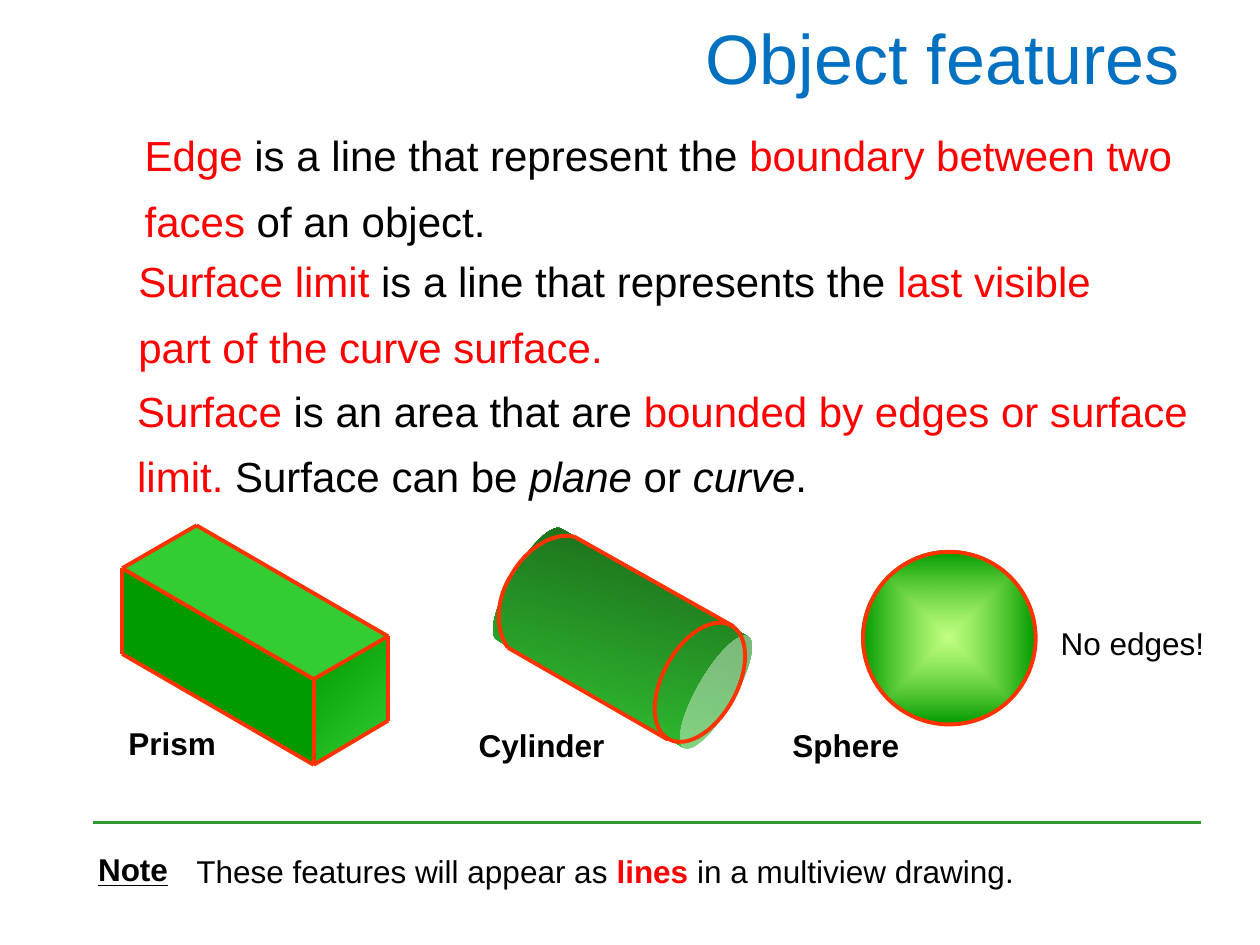
import pptx
import pptx.util
import pptx.dml.color
import pptx.enum.shapes
import pptx.enum.text
import pptx.oxml
import pptx.oxml.ns
from lxml import etree

Inches = pptx.util.Inches
SHAPES = pptx.enum.shapes.MSO_SHAPE
COLORS = {
    "title": "0070C0", "key": "FF0000", "text": "000000", "edge": "FF3300",
    "rule": "339933", "dark": "009900", "light": "33CC33",
    "shade": "185E18", "glow": "99FF33",
}


def rgb(name):
    """Return the named colour."""
    return pptx.dml.color.RGBColor.from_string(COLORS[name])


def add_text(page, box, spans, size=18, spacing=None, align="LEFT", wrap=False):
    """Add one paragraph made of (text, colour, styles) spans, styles from b, i, u."""
    left, top, width, height = map(Inches, box)
    frame = page.shapes.add_textbox(left, top, width, height).text_frame
    frame.word_wrap = wrap
    frame.auto_size = pptx.enum.text.MSO_AUTO_SIZE.SHAPE_TO_FIT_TEXT
    para = frame.paragraphs[0]
    para.alignment = getattr(pptx.enum.text.PP_ALIGN, align)
    if spacing:
        para.line_spacing = spacing
    for text, color, styles in spans:
        span = para.add_run()
        span.text = text
        span.font.name = "Arial"
        span.font.size = pptx.util.Pt(size)
        span.font.color.rgb = rgb(color)
        span.font.bold = "b" in styles
        span.font.italic = "i" in styles
        span.font.underline = "u" in styles


def add_line(page, start, end, color="edge", width=2.25):
    """Add a straight line between two points."""
    line = page.shapes.add_connector(
        pptx.enum.shapes.MSO_CONNECTOR.STRAIGHT, *map(Inches, (*start, *end)))
    line.line.color.rgb = rgb(color)
    line.line.width = pptx.util.Pt(width)
    etree.SubElement(line._element.spPr, pptx.oxml.ns.qn("a:effectLst"))


def style(shape, fill=None, outline=None):
    """Give a shape a solid fill or none, an outline or none, and no shadow."""
    shape.shadow.inherit = False
    if fill:
        shape.fill.solid()
        shape.fill.fore_color.rgb = rgb(fill)
    else:
        shape.fill.background()
    if outline:
        shape.line.color.rgb = rgb(outline)
        shape.line.width = pptx.util.Pt(2.25)
    else:
        shape.line.fill.background()


def add_preset(page, kind, box, rotation=0, outline=None):
    """Add an unfilled preset shape."""
    shape = page.shapes.add_shape(kind, *map(Inches, box))
    shape.rotation = rotation
    style(shape, outline=outline)
    return shape


def add_outline(page, points, closed, fill=None, outline=None):
    """Add a freeform through points in inches."""
    places = [(Inches(x), Inches(y)) for x, y in points]
    builder = page.shapes.build_freeform(*places[0])
    builder.add_line_segments(places[1:], close=closed)
    shape = builder.convert_to_shape()
    style(shape, fill, outline)
    return shape


def set_gradient(shape, first, last, angle=None, alpha=100, turn=1):
    """Fill with a linear gradient, or from the centre when no angle is given."""
    if angle is None:
        course = ('<a:path path="rect"><a:fillToRect l="50000" t="50000" '
                  'r="50000" b="50000"/></a:path>')
    else:
        course = f'<a:lin ang="{angle * 60000}" scaled="1"/>'
    fill = pptx.oxml.parse_xml(
        f'<a:gradFill {pptx.oxml.ns.nsdecls("a")} rotWithShape="{turn}"><a:gsLst>'
        f'<a:gs pos="0"><a:srgbClr val="{COLORS[first]}">'
        f'<a:alpha val="{alpha * 1000}"/></a:srgbClr></a:gs>'
        f'<a:gs pos="100000"><a:srgbClr val="{COLORS[last]}"/></a:gs>'
        f'</a:gsLst>{course}</a:gradFill>')
    properties = shape._element.spPr
    properties.replace(properties.find(pptx.oxml.ns.qn("a:noFill")), fill)


def bezier(start, first, second, end, steps=12):
    """Return points along a cubic curve, leaving out its start."""
    points = []
    for step in range(1, steps + 1):
        t = step / steps
        weights = ((1 - t) ** 3, 3 * t * (1 - t) ** 2, 3 * t * t * (1 - t), t ** 3)
        points.append(tuple(sum(w * c for w, c in zip(weights, axis))
                            for axis in zip(start, first, second, end)))
    return points


def shift(left, top, points):
    """Move points by the corner of a region."""
    return [(left + x, top + y) for x, y in points]


def add_definitions(page, left, top):
    """Place the three definitions."""
    definitions = [
        (0.06, 0, 8.55, [
            ("Edge", "key", ""), (" is a line that represent the ", "text", ""),
            ("boundary between two faces", "key", ""), (" of an object.", "text", "")]),
        (0.01, 1, 8.28, [
            ("Surface limit ", "key", ""), ("is a line that represents the ", "text", ""),
            ("last visible part of the curve surface.", "key", "")]),
        (0, 2.03, 8.75, [
            ("Surface", "key", ""), (" is an area that are ", "text", ""),
            ("bounded by edges or surface limit. ", "key", ""),
            ("Surface can be ", "text", ""), ("plane", "text", "i"),
            (" or ", "text", ""), ("curve", "text", "i"), (".", "text", "")]),
    ]
    for x, y, width, spans in definitions:
        add_text(page, (left + x, top + y, width, 1.14), spans, 24, 1.3, wrap=True)


def add_prism(page, left, top):
    """Draw the prism with its faces, edges and label."""
    corners = [(0, 0.34), (0.59, 0), (2.11, 0.88), (1.52, 1.22),
               (0, 1.02), (1.52, 1.9), (2.11, 1.55)]
    west, north, east, front, west_low, front_low, east_low = shift(left, top, corners)
    side = add_outline(page, [front, front_low, east_low, east], True)
    set_gradient(side, "dark", "light", 45)
    add_outline(page, [front, west, west_low, front_low], True, "dark")
    add_outline(page, [front, west, north, east], True, "light")
    edges = [(front, east), (front, front_low), (front, west), (front_low, west_low),
             (east, north), (west, north), (front_low, east_low),
             (west, west_low), (east, east_low)]
    for start, end in edges:
        add_line(page, start, end)
    add_text(page, (left - 0.05, top + 1.53, 0.92, 0.4), [("Prism", "text", "b")])


def add_cylinder(page, left, top):
    """Draw the cylinder with its edges, surface limits and label."""
    can = add_preset(page, SHAPES.CAN, (left + 0.73, top, 1.02, 2.01), 120)
    can.adjustments[0] = 0.29
    set_gradient(can, "light", "shade", 285, turn=0)
    add_preset(page, SHAPES.OVAL, (left + 1.34, top + 1.06, 1.03, 0.59), 298.8, "edge")
    low, bend_a, bend_b, middle, bend_c, bend_d, high = shift(left, top, [
        (0.33, 1.08), (0.23, 0.94), (0.23, 0.7), (0.36, 0.5),
        (0.48, 0.29), (0.69, 0.16), (0.86, 0.2)])
    arc = [low, *bezier(low, bend_a, bend_b, middle), *bezier(middle, bend_c, bend_d, high)]
    add_outline(page, arc, False, outline="edge")
    add_line(page, low, (left + 1.6, top + 1.81))
    add_line(page, high, (left + 2.12, top + 0.91))
    add_text(page, (left, top + 1.65, 1.2, 0.4), [("Cylinder", "text", "b")])


def add_sphere(page, left, top):
    """Draw the sphere with its outline, label and remark."""
    ball = add_preset(page, SHAPES.OVAL, (left + 0.65, top, 1.38, 1.38))
    set_gradient(ball, "glow", "dark", alpha=60)
    add_preset(page, SHAPES.OVAL, (left + 0.66, top + 0.01, 1.37, 1.37), outline="edge")
    add_text(page, (left, top + 1.34, 1.05, 0.4), [("Sphere", "text", "b")])
    add_text(page, (left + 2.13, top + 0.53, 1.34, 0.4), [("No edges!", "text", "")])


def add_note(page, left, top):
    """Place the rule and the note below it."""
    add_line(page, (left + 0.06, top), (left + 8.85, top), "rule", 1.5)
    add_text(page, (left, top + 0.17, 0.78, 0.4), [("Note", "text", "bu")])
    add_text(page, (left + 0.78, top + 0.18, 6.69, 0.4), [
        ("These features will appear as ", "text", ""), ("lines", "key", "b"),
        (" in a multiview drawing.", "text", "")])


def main():
    """Build and save the slide."""
    deck = pptx.Presentation()
    deck.slide_width, deck.slide_height = Inches(10), Inches(7.5)
    page = deck.slides.add_slide(deck.slide_layouts[6])
    add_text(page, (0.49, 0.07, 8.97, 0.77), [("Object features", "title", "")],
             40, align="RIGHT", wrap=True)
    add_definitions(page, 0.99, 0.86)
    add_prism(page, 0.97, 4.17)
    add_cylinder(page, 3.7, 4.06)
    add_sphere(page, 6.19, 4.37)
    add_note(page, 0.68, 6.53)
    deck.save("out.pptx")


if __name__ == "__main__":
    main()
